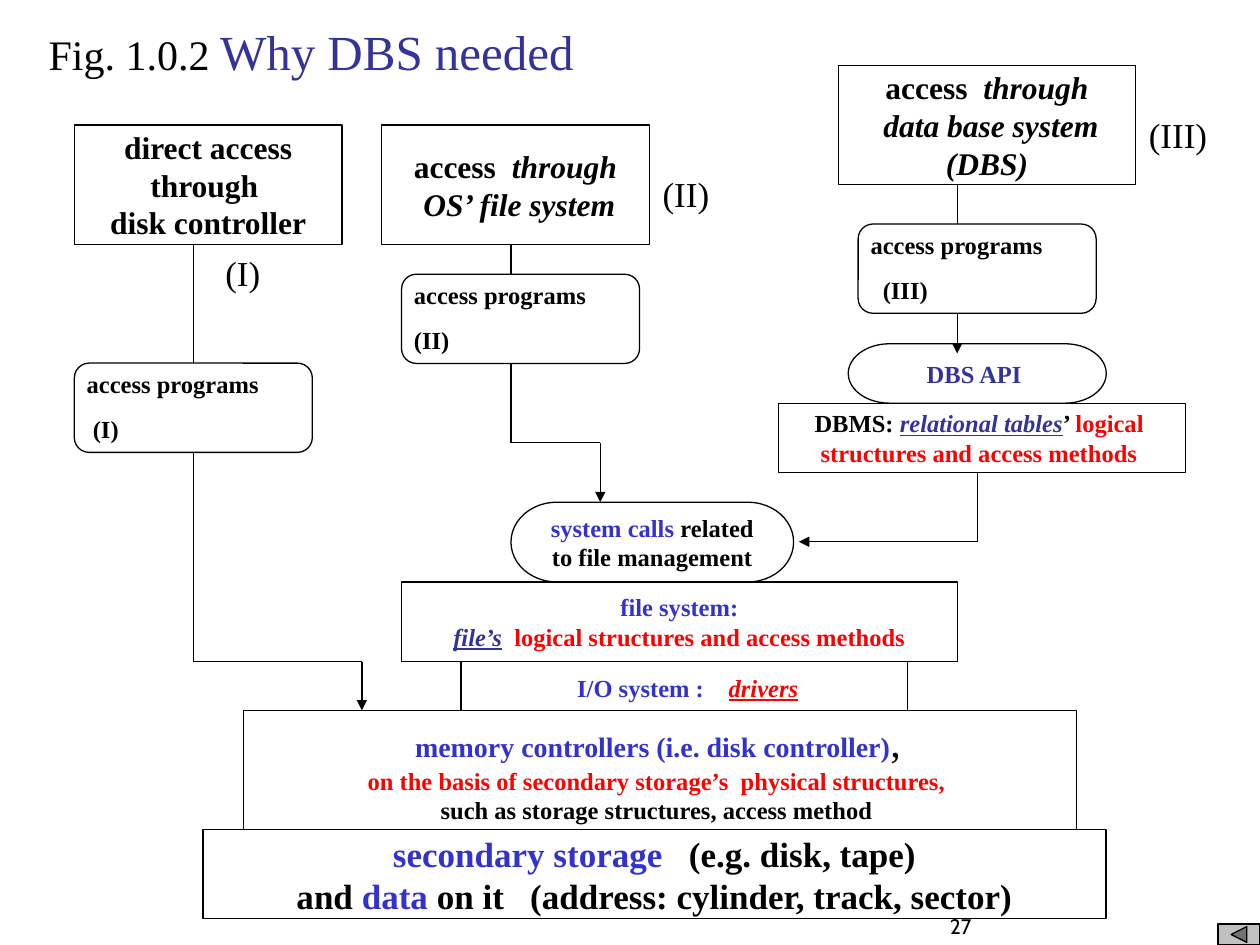
from lxml import etree
from pptx import Presentation
from pptx.dml.color import RGBColor
from pptx.enum import shapes, text
from pptx.oxml import ns
from pptx.util import Pt

COLORS = {
    "black": "000000", "white": "FFFFFF", "blue": "3333CC",
    "navy": "333399", "red": "FF0000", "gray": "C0C0C0",
}
KINDS = shapes.MSO_SHAPE
CENTER, LEFT = text.PP_ALIGN.CENTER, text.PP_ALIGN.LEFT
MIDDLE, TOP, BOTTOM = text.MSO_ANCHOR.MIDDLE, text.MSO_ANCHOR.TOP, text.MSO_ANCHOR.BOTTOM

prs = Presentation()
prs.slide_width, prs.slide_height = Pt(720), Pt(540)
slide = prs.slides.add_slide(prs.slide_layouts[6])


def write(frame, lines, size, align=CENTER, anchor=MIDDLE, wrap=False, font="Times New Roman"):
    """Fill a frame; a run is (text, colour, style letters b/i/u, optional size)."""
    frame.word_wrap, frame.vertical_anchor = wrap, anchor
    for number, line in enumerate(lines):
        paragraph = frame.paragraphs[0] if number == 0 else frame.add_paragraph()
        paragraph.alignment = align
        for words, color, style, *own_size in line:
            run = paragraph.add_run()
            run.text = words
            run.font.name = font
            run.font.size = Pt(own_size[0] if own_size else size)
            run.font.color.rgb = RGBColor.from_string(COLORS[color])
            run.font.bold = "b" in style
            run.font.italic = "i" in style
            run.font.underline = "u" in style


def outline(kind, left, top, width, height, fill=None):
    shape = slide.shapes.add_shape(kind, Pt(left), Pt(top), Pt(width), Pt(height))
    shape.shadow.inherit = False
    if fill:
        shape.fill.solid()
        shape.fill.fore_color.rgb = RGBColor.from_string(COLORS[fill])
    else:
        shape.fill.background()
    shape.line.color.rgb = RGBColor.from_string(COLORS["black"])
    shape.line.width = Pt(0.75)
    return shape


# Title
title = slide.shapes.add_textbox(Pt(-12), Pt(0), Pt(379.5), Pt(49.7))
write(title.text_frame,
      [[("Fig. 1.0.2 ", "black", "", 24), ("Why DBS needed", "navy", "", 28)]],
      28, anchor=BOTTOM, wrap=True)

# Storage layers, access methods and interfaces
boxes = [
    (KINDS.RECTANGLE, 116, 474, 516, 51, "white", 20, [
        [("secondary storage", "blue", "b"), ("   (e.g. disk, tape)", "black", "b")],
        [("and ", "black", "b"), ("data", "blue", "b"),
         (" on it   (address: cylinder, track, sector)", "black", "b")]]),
    (KINDS.RECTANGLE, 139, 406, 476, 68, "white", 14, [
        [(" ", "black", "b", 16), ("memory controllers (i.e. disk controller)", "blue", "b", 16),
         (", ", "black", "", 24)],
        [("on the basis of secondary storage’s  physical structures, ", "red", "b")],
        [("such as storage structures, access method ", "black", "b")]]),
    (KINDS.RECTANGLE, 263.5, 378, 255, 28, None, 14, [
        [(" ", "black", "b", 16), ("I/O system :    ", "blue", "b"), ("drivers", "red", "biu")]]),
    (KINDS.RECTANGLE, 229.5, 332.5, 317.5, 45.5, None, 14, [
        [("file system:", "blue", "b")],
        [("file’s", "navy", "biu"), ("  ", "black", "b"),
         ("logical structures and access methods", "red", "b")]]),
    (KINDS.FLOWCHART_TERMINATOR, 292, 287, 161.5, 45.5, None, 14, [
        [("system calls ", "blue", "b"), ("related", "black", "b")],
        [(" to file management ", "black", "b")]]),
    (KINDS.RECTANGLE, 445, 230.4, 232.5, 39.6, None, 14, [
        [("DBMS: ", "black", "b"), ("relational tables", "navy", "biu"),
         ("’ ", "black", "b"), ("logical ", "red", "b")],
        [("structures and access methods ", "red", "b")]]),
    (KINDS.FLOWCHART_TERMINATOR, 484.7, 196.4, 147.5, 34, None, 14, [
        [("DBS API ", "navy", "b")]]),
    (KINDS.RECTANGLE, 42.5, 71.4, 153, 68.2, "white", 18, [
        [("direct access", "black", "b")],
        [("through ", "black", "b")],
        [("disk controller", "black", "b")]]),
    (KINDS.RECTANGLE, 218, 71.4, 153, 68.2, "white", 18, [
        [("access  ", "black", "b"), ("through", "black", "bi")],
        [(" OS’ file system", "black", "bi")]]),
    (KINDS.RECTANGLE, 479, 37.4, 170, 68.2, "white", 18, [
        [("access  ", "black", "b"), ("through", "black", "bi")],
        [(" data base system", "black", "bi")],
        [("(DBS)", "black", "bi")]]),
]
for kind, left, top, width, height, fill, size, lines in boxes:
    write(outline(kind, left, top, width, height, fill).text_frame, lines, size)

# Each access route: its number, its programs box and the indent inside it
routes = [
    ("(I)", 121.7, 140.4, 36, 42.5, 207.5, 3.5),
    ("(II)", 371.5, 95, 43, 229.5, 156.7, 0),
    ("(III)", 649.4, 61.2, 50, 490.4, 128, 7),
]
for numeral, label_left, label_top, label_width, left, top, indent in routes:
    label = slide.shapes.add_textbox(Pt(label_left), Pt(label_top), Pt(label_width), Pt(31.5))
    write(label.text_frame, [[(numeral, "black", "")]], 20, LEFT, TOP)
    outline(KINDS.ROUNDED_RECTANGLE, left, top, 136, 51)
    programs = slide.shapes.add_textbox(Pt(left), Pt(top), Pt(153), Pt(49.7))
    write(programs.text_frame,
          [[("access programs", "black", "b")], [(numeral, "black", "b")]],
          14, LEFT, TOP, wrap=True)
    numeral_line = programs.text_frame.paragraphs[1]
    numeral_line.space_before = Pt(8.8)
    numeral_line._p.get_or_add_pPr().set("marL", str(Pt(indent)))

# Flow lines: corner points, and whether the last stretch has an arrowhead
flows = [
    ([(110.5, 139.6), (110.5, 207.5)], False),
    ([(110.5, 258.5), (110.5, 378), (206.8, 378), (206.8, 406)], True),
    ([(292, 139.6), (292, 156.7)], False),
    ([(292, 207.5), (292, 253), (343, 253), (343, 287)], True),
    ([(547, 105.6), (547, 128)], False),
    ([(547, 179), (547, 202)], True),
    ([(558.5, 270), (558.5, 309.6), (456.5, 309.6)], True),
]
for corners, has_arrow in flows:
    for start, end in zip(corners, corners[1:]):
        stretch = slide.shapes.add_connector(
            shapes.MSO_CONNECTOR.STRAIGHT, *(Pt(value) for value in start + end))
        stretch.line.color.rgb = RGBColor.from_string(COLORS["black"])
        stretch.line.width = Pt(0.75)
        if has_arrow and end == corners[-1]:
            etree.SubElement(stretch.line._get_or_add_ln(), ns.qn("a:tailEnd"), type="triangle")
        etree.SubElement(stretch._element.spPr, ns.qn("a:effectLst"))

# Page number and back button
page_number = slide.shapes.add_textbox(Pt(474), Pt(504), Pt(150), Pt(36))
write(page_number.text_frame, [[("27", "black", "")]], 12, anchor=BOTTOM, wrap=True, font="Cabin")
outline(KINDS.ACTION_BUTTON_BACK_OR_PREVIOUS, 696, 528, 24, 12, "gray")

prs.save("out.pptx")
